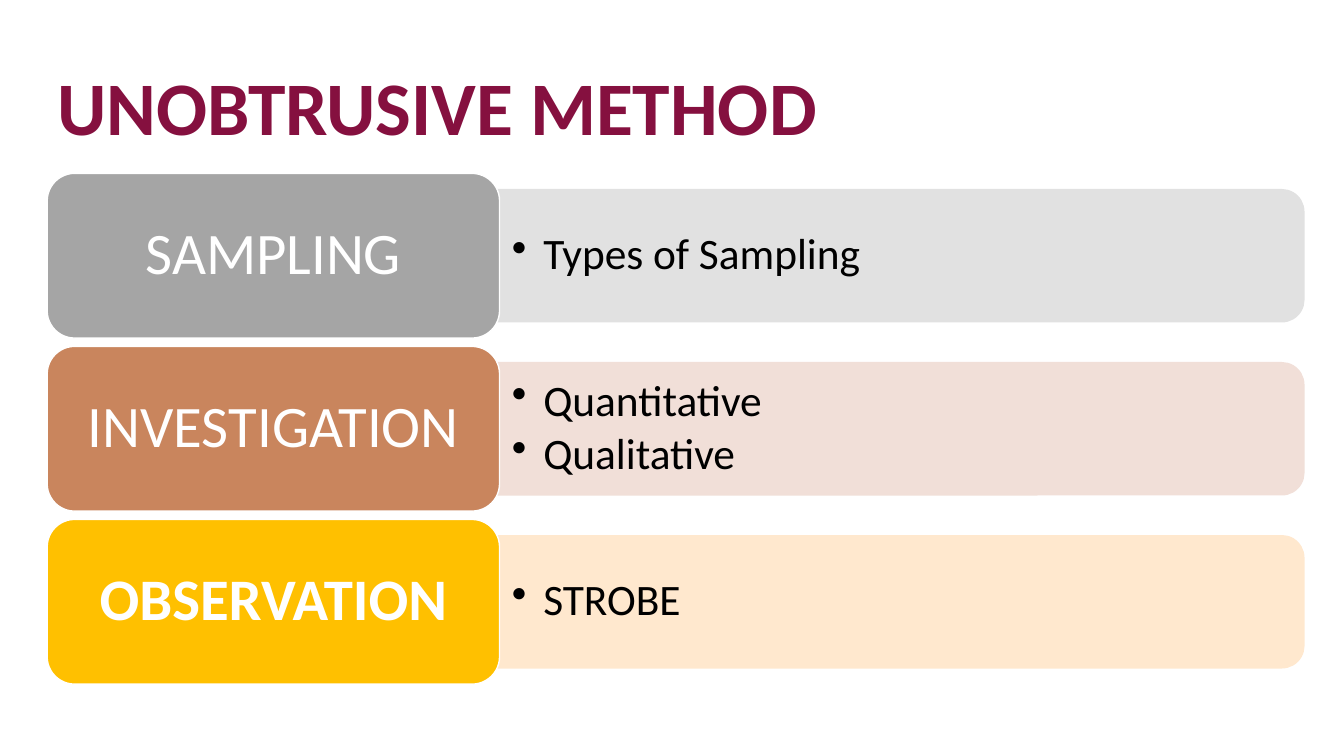
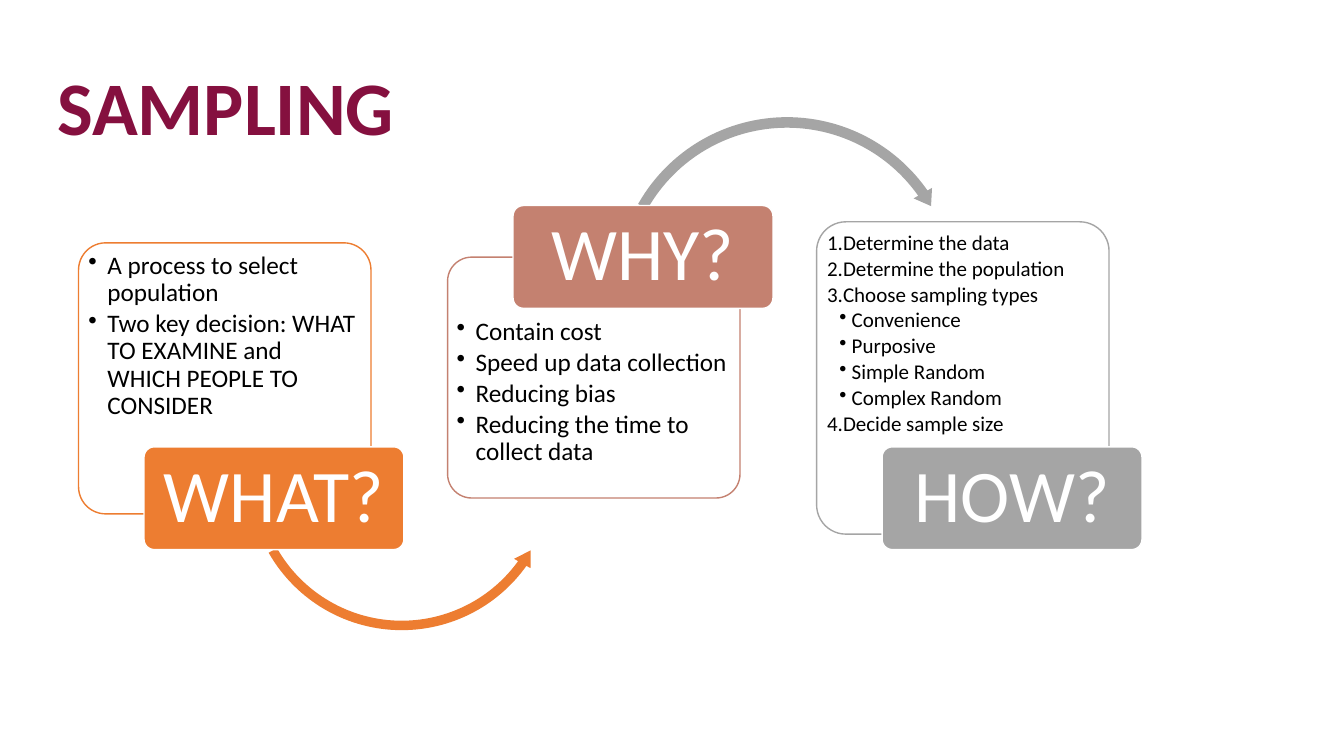
from lxml import etree
from pptx import Presentation
from pptx.dml.color import RGBColor
from pptx.enum.shapes import MSO_SHAPE
from pptx.enum.text import MSO_ANCHOR, MSO_AUTO_SIZE, PP_ALIGN
from pptx.oxml.ns import qn
from pptx.util import Cm, Pt

ROUNDED = MSO_SHAPE.ROUNDED_RECTANGLE
ARC_LEFT, ARC_RIGHT = MSO_SHAPE.LEFT_CIRCULAR_ARROW, MSO_SHAPE.CIRCULAR_ARROW
TOP, MIDDLE = MSO_ANCHOR.TOP, MSO_ANCHOR.MIDDLE
LEFT, CENTER = PP_ALIGN.LEFT, PP_ALIGN.CENTER
FIXED = MSO_AUTO_SIZE.NONE

FONT = "Calibri"
COLORS = {
    "title": "85103F", "text": "000000", "white": "FFFFFF",
    "gray": "A5A5A5", "gray_light": "E1E1E1",
    "copper": "C9855D", "copper_light": "F1DFD8",
    "gold": "FFC000", "gold_light": "FFE8CE",
    "orange": "ED7D31", "rose": "C48170",
}


def add_text(tf, text, size=18, color="text", bold=False, align=LEFT,
             mark=None, indent=0, level=0, after=0.15):
    """Add one paragraph; mark is a bullet character or "1." for numbering."""
    p = tf.paragraphs[0]
    if p.runs:
        p = tf.add_paragraph()
    if mark:
        pPr = p._p.get_or_add_pPr()
        pPr.set("marL", str(Cm(indent * (level + 1))))
        pPr.set("indent", str(-Cm(indent)))
        if mark == "1.":
            etree.SubElement(pPr, qn("a:buAutoNum"), type="arabicPeriod")
        else:
            etree.SubElement(pPr, qn("a:buChar"), char=mark)
    p.level = level
    p.alignment = align
    p.line_spacing = 0.9
    p.space_before = Pt(0)
    p.space_after = Pt(size * after)
    r = p.add_run()
    r.text = text
    r.font.name = FONT
    r.font.size = Pt(size)
    r.font.bold = bold
    r.font.color.rgb = RGBColor.from_string(COLORS[color])


def add_box(s, kind, x, y, w, h, fill, line=None, adjust=(), anchor=MIDDLE,
            insets=(0, 0, 0, 0)):
    """Add a filled shape in cm and return its text frame."""
    sp = s.shapes.add_shape(kind, Cm(x), Cm(y), Cm(w), Cm(h))
    sp.shadow.inherit = False
    for i, value in enumerate(adjust):
        sp.adjustments[i] = value
    sp.fill.solid()
    sp.fill.fore_color.rgb = RGBColor.from_string(COLORS[fill])
    if line:
        sp.line.color.rgb = RGBColor.from_string(COLORS[line])
        sp.line.width = Pt(1)
    else:
        sp.line.fill.background()
    tf = sp.text_frame
    tf.word_wrap = True
    tf.vertical_anchor = anchor
    tf.margin_left, tf.margin_top, tf.margin_right, tf.margin_bottom = map(Cm, insets)
    return tf


prs = Presentation()
prs.slide_width, prs.slide_height = Cm(33.87), Cm(19.05)

# Slides with their titles
slides = []
for heading in ("UNOBTRUSIVE METHOD", "SAMPLING"):
    s = prs.slides.add_slide(prs.slide_layouts[5])
    title = s.shapes.title
    title.left, title.top, title.width, title.height = Cm(1.19), Cm(1.65), Cm(29.21), Cm(2.69)
    title.text_frame.auto_size = FIXED
    title.text_frame.vertical_anchor = TOP
    add_text(title.text_frame, heading, size=54, color="title", bold=True, after=0)
    slides.append(s)
overview, sampling = slides

# Overview: one row per method
ROW_TOP, ROW_PITCH = 4.37, 4.36
LABEL_H, PANEL_H = 4.15, 3.33
rows = [
    ("SAMPLING", "gray", False, ["Types of Sampling"]),
    ("INVESTIGATION", "copper", False, ["Quantitative", "Qualitative"]),
    ("OBSERVATION", "gold", True, ["STROBE"]),
]
for i, (label, color, bold, points) in enumerate(rows):
    y = ROW_TOP + i * ROW_PITCH
    light = color + "_light"
    # The panel starts behind the label, so only its right corners show
    tf = add_box(overview, ROUNDED, 11.5, y + (LABEL_H - PANEL_H) / 2, 21.36, PANEL_H,
                 light, light, insets=(1.24, 0.15, 0.3, 0.15))
    for point in points:
        add_text(tf, point, size=31, mark="•", indent=0.79)
    tf = add_box(overview, ROUNDED, 1.19, y, 11.4, LABEL_H, color, "white")
    add_text(tf, label, size=42, color="white", bold=bold, align=CENTER)

# Sampling: three cards joined by curved arrows
CARD_LEFT, CARD_PITCH, CARD_W = 1.98, 9.3, 7.37
DEGREE = 0.6  # one degree in adjustment units
cards = [
    dict(label="WHAT?", color="orange", y=6.12, h=6.83, label_y=11.26, inset=0.05,
         size=18, indent=0.48,
         points=[("•", 0, "A process to select population"),
                 ("•", 0, "Two key decision: WHAT TO EXAMINE and "
                          "WHICH PEOPLE TO CONSIDER")],
         arrow=(ARC_LEFT, 6.15, 8.05, 7.95, 6, 35.6, 150.4)),
    dict(label="WHY?", color="rose", y=6.48, h=6.07, label_y=5.18, inset=1.37,
         size=18, indent=0.48,
         points=[("•", 0, "Contain cost"),
                 ("•", 0, "Speed up data collection"),
                 ("•", 0, "Reducing bias"),
                 ("•", 0, "Reducing the time to collect data")],
         arrow=(ARC_RIGHT, 15.39, 2.82, 8.89, 5.3, 325, 209.5)),
    dict(label="HOW?", color="gray", y=5.59, h=7.87, label_y=11.26, inset=0.05,
         size=15, indent=0.31,
         points=[("1.", 0, "Determine the data"),
                 ("1.", 0, "Determine the population"),
                 ("1.", 0, "Choose sampling types"),
                 ("•", 1, "Convenience"),
                 ("•", 1, "Purposive"),
                 ("•", 1, "Simple Random"),
                 ("•", 1, "Complex Random"),
                 ("1.", 0, "Decide sample size")],
         arrow=None),
]
for i, card in enumerate(cards):
    x = CARD_LEFT + i * CARD_PITCH
    tf = add_box(sampling, ROUNDED, x, card["y"], CARD_W, card["h"], "white", card["color"],
                 adjust=(0.1,), anchor=TOP, insets=(0.05, card["inset"], 0.05, 0.05))
    for mark, level, point in card["points"]:
        add_text(tf, point, size=card["size"], mark=mark, indent=card["indent"], level=level)
    if card["arrow"]:
        kind, left, top, side, head, end, start = card["arrow"]
        arrow_color = "orange" if kind == ARC_LEFT else "gray"
        add_box(sampling, kind, left, top, side, side, arrow_color,
                adjust=(0.03, head * DEGREE, end * DEGREE, start * DEGREE, 0.03))
    tf = add_box(sampling, ROUNDED, x + 1.65, card["label_y"], 6.55, 2.59, card["color"],
                 "white", adjust=(0.1,))
    add_text(tf, card["label"], size=53, color="white", align=CENTER)

prs.save("out.pptx")
